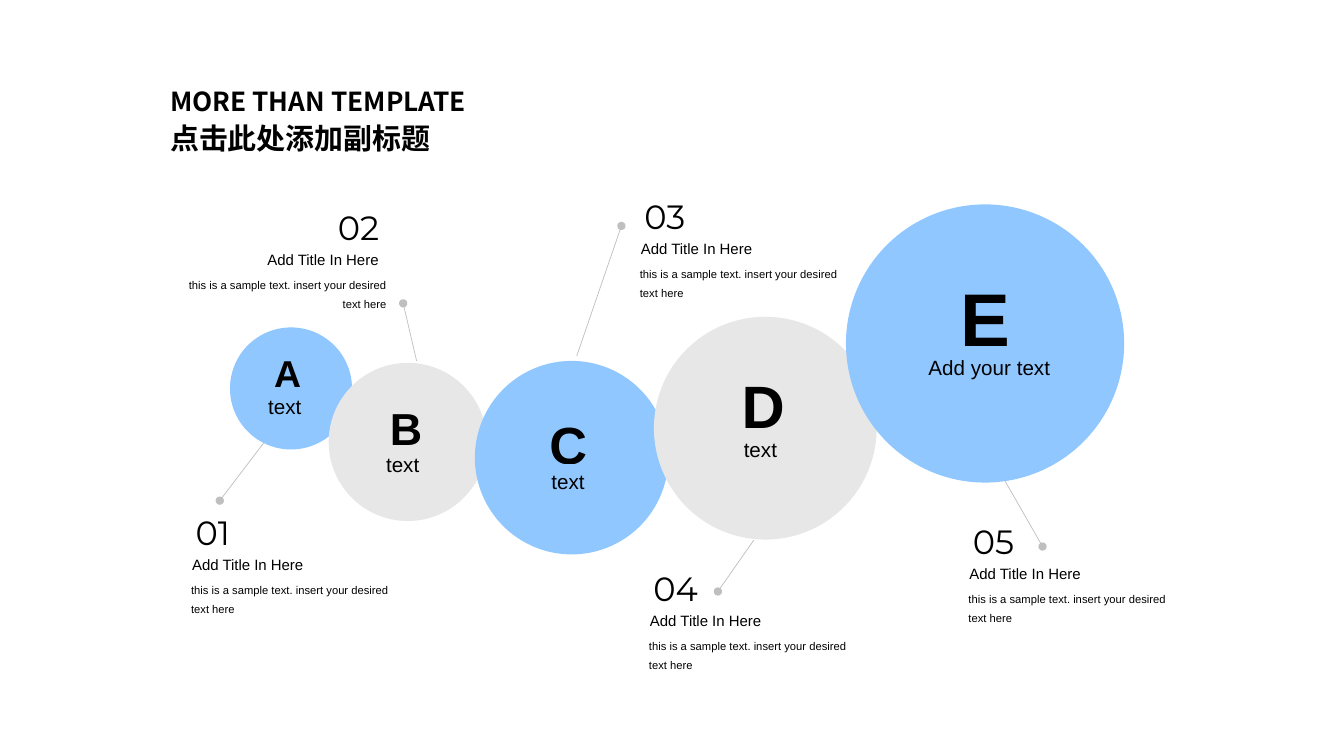
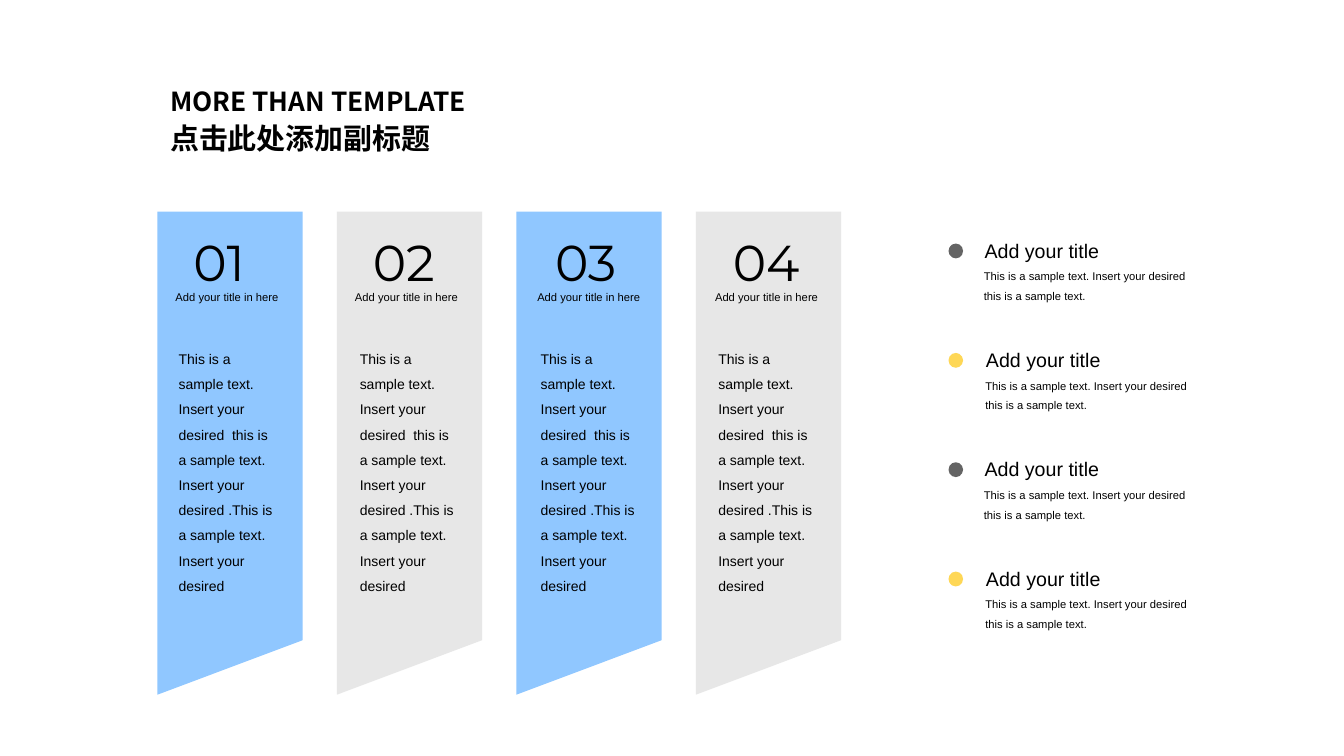
import lxml.etree
import pptx
import pptx.dml.color
import pptx.enum.shapes
import pptx.enum.text
import pptx.oxml.ns
import pptx.util

Pt = pptx.util.Pt
SHAPE = pptx.enum.shapes.MSO_SHAPE
ALIGN = pptx.enum.text.PP_ALIGN
ANCHOR = pptx.enum.text.MSO_ANCHOR

COLOURS = {
    "blue": "90C7FF",
    "grey": "E7E7E7",
    "leader": "BFBFBF",
    "dark": "646464",
    "yellow": "FED756",
    "text": "000000",
}
BODY_FONT = "Arial"
NUMBER_FONT = "Montserrat"
TITLE_FONT = "Noto Sans CJK SC"

TITLE_BOX = (114.5, 54.7, 237.6, 59.8)
TITLE_LINES = [("MORE THAN TEMPLATE", 18.7), ("点击此处添加副标题", 20.7)]

CALLOUT_TEXT = "this is a sample text. insert your desired text here"
COLUMN_TEXT = (
    "This is a sample text. Insert your desired  this is a sample text. "
    "Insert your desired .This is a sample text. Insert your desired"
)
ITEM_TEXT = "This is a sample text. Insert your desired  this is a sample text."

BUBBLES = [
    {"box": (164.3, 233.9, 87.2), "letter": ("A", 26.7, 24.5, 13, 33.8),
     "caption": ("text", 20.2, 43.9, 38.9)},
    {"box": (234.8, 259.2, 113), "letter": ("B", 32, 36.7, 23.8, 38.2),
     "caption": ("text", 33.9, 60.1, 38.9)},
    {"box": (339.2, 257.8, 138.2), "letter": ("C", 37.3, 46.2, 33, 41.8),
     "caption": ("text", 47.6, 73.8, 38.9)},
    {"box": (467.1, 226.3, 159.1), "letter": ("D", 42.7, 55.6, 33.6, 45.4),
     "caption": ("text", 57.1, 81.9, 38.9)},
    {"box": (604.3, 146, 198.7), "letter": ("E", 53.3, 74.8, 44.4, 50.4),
     "caption": ("Add your text", 51.8, 103.8, 102.2)},
]
LEADERS = [
    (188.6, 316.1, 157, 357.6),
    (297.6, 257.8, 288, 216.7),
    (412, 254.2, 443.9, 161.4),
    (538.4, 385.9, 512.8, 422.5),
    (717.8, 343.4, 744.7, 390.4),
]
CALLOUTS = [
    (129.4, 362.2, False),
    (127, 144.6, True),
    (450, 136.6, False),
    (456.5, 402.3, False),
    (684.7, 368.6, False),
]
CALLOUT_WIDTH = 156.2

COLUMN_BOX = (112.5, 151.2, 103.7, 345)
COLUMN_PITCH = 128.2
COLUMN_NUDGES = [(0, 0), (0, 1.2), (2, 2.2), (0.8, 0.9)]
ITEM_START = (677.5, 166.9)
ITEM_PITCH = 78.1


def paint(target, colour):
    """Set a solid colour on a fill or line fill."""
    target.solid()
    target.fore_color.rgb = pptx.dml.color.RGBColor.from_string(COLOURS[colour])


def finish(shape, colour):
    """Fill a shape and drop its outline and shadow."""
    paint(shape.fill, colour)
    shape.line.fill.background()
    shape.shadow.inherit = False


def add_dot(page, box, colour):
    """Add a filled ellipse."""
    dot = page.shapes.add_shape(SHAPE.OVAL, *map(Pt, box))
    finish(dot, colour)


def style_para(para, size, font, bold=False):
    """Format every run of a paragraph."""
    for span in para.runs:
        span.font.size = Pt(size)
        span.font.name = font
        span.font.bold = bold
        paint(span.font.fill, "text")
        east = lxml.etree.SubElement(span.font._element, pptx.oxml.ns.qn("a:ea"))
        east.set("typeface", font)


def add_text(page, box, text, size, font=BODY_FONT, bold=False, spacing=None,
             align=ALIGN.LEFT, fill=None):
    """Add a text box or filled label, wrapped only when line spacing is given."""
    if fill:
        holder = page.shapes.add_shape(SHAPE.RECTANGLE, *map(Pt, box))
        finish(holder, fill)
    else:
        holder = page.shapes.add_textbox(*map(Pt, box))
    frame = holder.text_frame
    frame.vertical_anchor = ANCHOR.TOP
    frame.word_wrap = spacing is not None
    frame.auto_size = pptx.enum.text.MSO_AUTO_SIZE.SHAPE_TO_FIT_TEXT
    frame.text = text
    para = frame.paragraphs[0]
    para.alignment = align
    if spacing:
        para.line_spacing = Pt(spacing)
    style_para(para, size, font, bold)


def add_title(page):
    """Add the two-line heading shared by the slides."""
    frame = page.shapes.add_textbox(*map(Pt, TITLE_BOX)).text_frame
    frame.word_wrap = True
    frame.auto_size = pptx.enum.text.MSO_AUTO_SIZE.SHAPE_TO_FIT_TEXT
    frame.vertical_anchor = ANCHOR.MIDDLE
    frame.text = "\n".join(text for text, size in TITLE_LINES)
    for para, (text, size) in zip(frame.paragraphs, TITLE_LINES):
        para.line_spacing = 1.1
        style_para(para, size, TITLE_FONT, True)


def add_bubble(page, bubble, colour):
    """Add a circle with its letter and caption."""
    left, top, size = bubble["box"]
    add_dot(page, (left, top, size, size), colour)
    letter, points, across, down, width = bubble["letter"]
    add_text(page, (left + across, top + down, width, points * 1.2 + 7.2),
             letter, points, bold=True, fill=colour)
    caption, across, down, width = bubble["caption"]
    add_text(page, (left + across, top + down, width, 25.2), caption, 14.7, fill=colour)


def add_leader(page, ends):
    """Add a thin line that finishes in a round dot."""
    leader = page.shapes.add_connector(
        pptx.enum.shapes.MSO_CONNECTOR.STRAIGHT, *map(Pt, ends))
    paint(leader.line.fill, "leader")
    leader.line.width = Pt(0.5)
    outline = leader.line._get_or_add_ln()
    lxml.etree.SubElement(outline, pptx.oxml.ns.qn("a:tailEnd")).set("type", "oval")
    lxml.etree.SubElement(leader._element.spPr, pptx.oxml.ns.qn("a:effectLst"))


def add_callout(page, left, top, mirrored, number):
    """Add a numbered note, set to the right when mirrored."""
    number_left, title_left = (107.3, 56.9) if mirrored else (3.2, 0.7)
    add_text(page, (left + number_left, top, 46.8, 36), number, 24, NUMBER_FONT)
    add_text(page, (left + title_left, top + 31, 95, 20.2), "Add Title In Here", 10.7)
    add_text(page, (left, top + 47.2, CALLOUT_WIDTH, 33.8), CALLOUT_TEXT, 8,
             spacing=13.3, align=ALIGN.RIGHT if mirrored else ALIGN.LEFT)


def add_column(page, box, number, nudges, colour):
    """Add a slanted banner with number, title and body."""
    left, top, width, height = box
    right, bottom = left + width, top + height
    builder = page.shapes.build_freeform(Pt(right), Pt(bottom - 38.9))
    corners = [(left, bottom), (left, top), (right, top)]
    builder.add_line_segments([(Pt(x), Pt(y)) for x, y in corners], close=True)
    finish(builder.convert_to_shape(), colour)
    head, body = nudges
    add_text(page, (left + 18.5 + head, top + 10.1, 63.4, 51.1), number, 36,
             NUMBER_FONT, fill=colour)
    add_text(page, (left + 5.8 + head, top + 52.6, 89.3, 17.3),
             "Add your title in here", 8, fill=colour)
    add_text(page, (left + 8 + body, top + 89.7, 85.7, 189.4), COLUMN_TEXT, 10,
             spacing=18, fill=colour)


def add_item(page, left, top, indent, colour):
    """Add a bullet dot with a title and a short text."""
    add_dot(page, (left, top + 7.1, 10.4, 10.6), colour)
    add_text(page, (left + 18.7 + indent, top, 96.5, 24.5), "Add your title", 14)
    add_text(page, (left + 18.2 + indent, top + 17.7, 166, 33.8), ITEM_TEXT, 8, spacing=14)


def add_page(deck):
    """Add a blank slide with the shared heading."""
    page = deck.slides.add_slide(deck.slide_layouts[6])
    add_title(page)
    return page


def build_bubbles(deck):
    """Build the slide of growing circles."""
    page = add_page(deck)
    for index, bubble in enumerate(BUBBLES):
        add_bubble(page, bubble, ("blue", "grey")[index % 2])
    for ends in LEADERS:
        add_leader(page, ends)
    for index, callout in enumerate(CALLOUTS, 1):
        add_callout(page, *callout, f"{index:02}")


def build_columns(deck):
    """Build the slide of banners and bullet items."""
    page = add_page(deck)
    left, top, width, height = COLUMN_BOX
    for index, nudges in enumerate(COLUMN_NUDGES):
        box = (left + index * COLUMN_PITCH, top, width, height)
        add_column(page, box, f"{index + 1:02}", nudges, ("blue", "grey")[index % 2])
    left, top = ITEM_START
    for index in range(4):
        add_item(page, left, top + index * ITEM_PITCH, index % 2,
                 ("dark", "yellow")[index % 2])


def main():
    """Build and save the deck."""
    deck = pptx.Presentation()
    deck.slide_width, deck.slide_height = Pt(960), Pt(540)
    build_bubbles(deck)
    build_columns(deck)
    deck.save("out.pptx")


if __name__ == "__main__":
    main()
